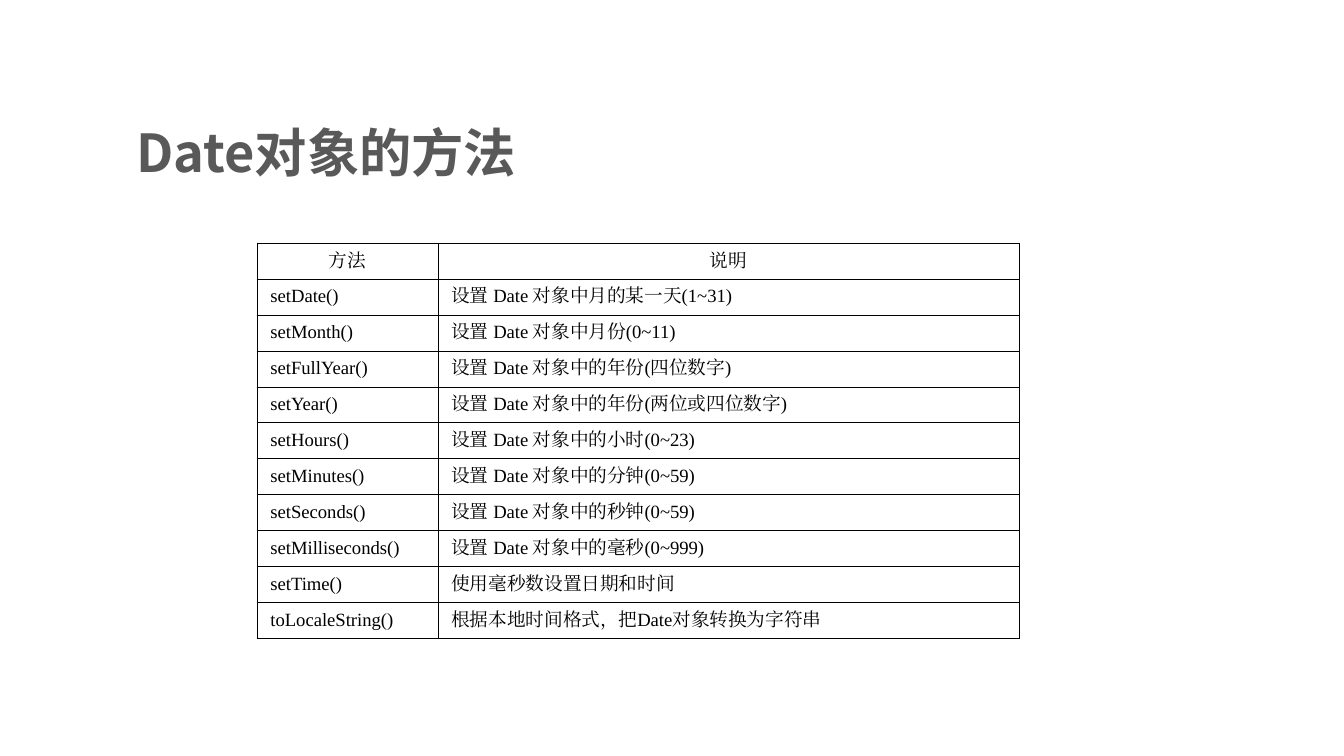
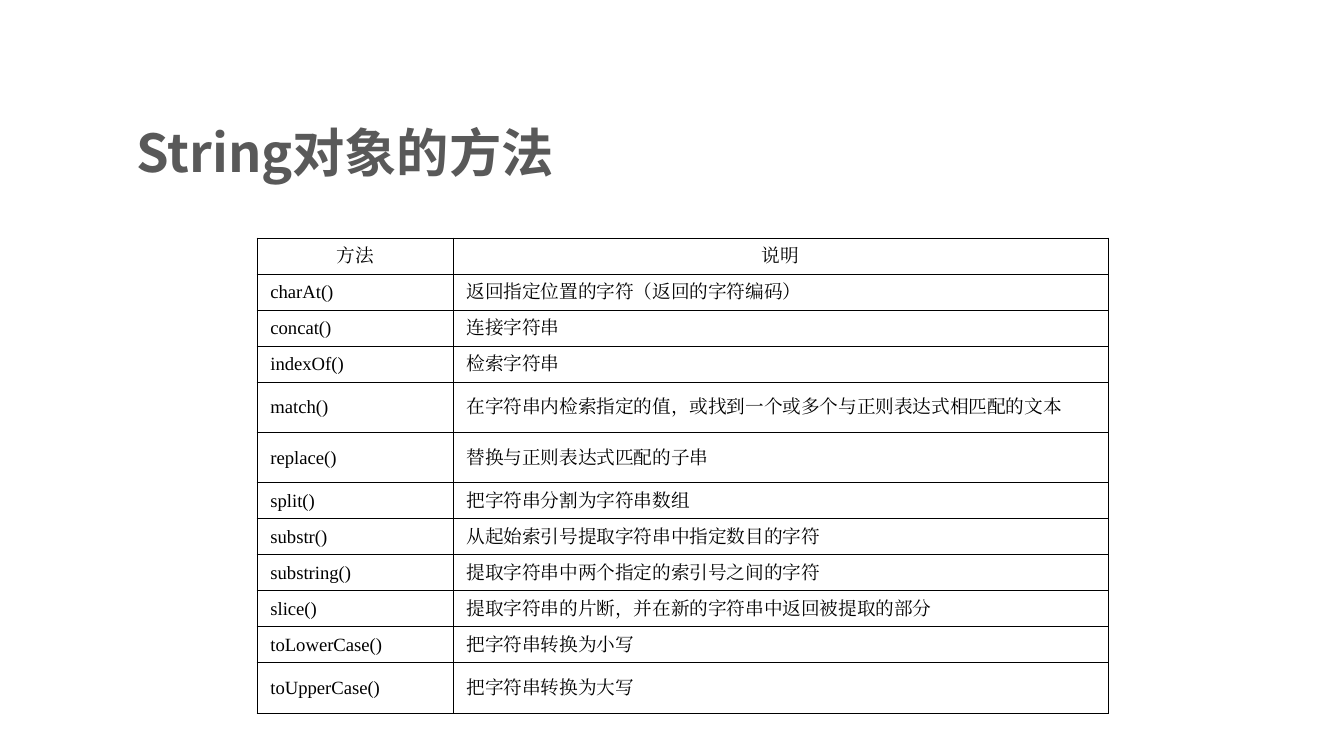
from lxml import etree
from pptx import Presentation
from pptx.dml.color import RGBColor
from pptx.enum.text import MSO_ANCHOR, MSO_AUTO_SIZE, PP_ALIGN
from pptx.oxml.ns import qn
from pptx.util import Emu, Pt

LEFT, CENTER = PP_ALIGN.LEFT, PP_ALIGN.CENTER
TOP, MIDDLE = MSO_ANCHOR.TOP, MSO_ANCHOR.MIDDLE
NO_FIT = MSO_AUTO_SIZE.NONE

# Content
HEADER = ("方法", "说明")
DATE_METHODS = [
    ("setDate()", "设置 Date 对象中月的某一天(1~31)"),
    ("setMonth()", "设置 Date 对象中月份(0~11)"),
    ("setFullYear()", "设置 Date 对象中的年份(四位数字)"),
    ("setYear()", "设置 Date 对象中的年份(两位或四位数字)"),
    ("setHours()", "设置 Date 对象中的小时(0~23)"),
    ("setMinutes()", "设置 Date 对象中的分钟(0~59)"),
    ("setSeconds()", "设置 Date 对象中的秒钟(0~59)"),
    ("setMilliseconds()", "设置 Date 对象中的毫秒(0~999)"),
    ("setTime()", "使用毫秒数设置日期和时间"),
    ("toLocaleString()", "根据本地时间格式，把Date对象转换为字符串"),
]
STRING_METHODS = [
    ("charAt()", "返回指定位置的字符（返回的字符编码）"),
    ("concat()", "连接字符串"),
    ("indexOf()", "检索字符串"),
    ("match()", "在字符串内检索指定的值，或找到一个或多个与正则表达式相匹配的文本"),
    ("replace()", "替换与正则表达式匹配的子串"),
    ("split()", "把字符串分割为字符串数组"),
    ("substr()", "从起始索引号提取字符串中指定数目的字符"),
    ("substring()", "提取字符串中两个指定的索引号之间的字符"),
    ("slice()", "提取字符串的片断，并在新的字符串中返回被提取的部分"),
    ("toLowerCase()", "把字符串转换为小写"),
    ("toUpperCase()", "把字符串转换为大写"),
]
SLIDES = [
    {"title": "Date对象的方法", "methods": DATE_METHODS, "top": 243,
     "cols": (181, 581), "tall_rows": {}, "anchor": TOP},
    {"title": "String对象的方法", "methods": STRING_METHODS, "top": 238,
     "cols": (196, 655), "tall_rows": {4: 51, 5: 50, 11: 51}, "anchor": MIDDLE},
]

# Shared look, lengths in px
PX = 914400 / 134.4
SLIDE_SIZE = (1344, 756)
TITLE_BOX = (123, 110, 964, 83)
TABLE_LEFT, ROW_HEIGHT = 257, 36
BORDER, THIN_BORDER = 0.45, 0.34
GREY, BLACK = RGBColor(0x59, 0x59, 0x59), RGBColor(0, 0, 0)
TITLE_FONT = {"size": Pt(28), "bold": True, "name": "Noto Sans CJK SC"}
CELL_FONT = {"size": Pt(10), "bold": False, "name": "Times New Roman"}


def px(n):
    return Emu(round(n * PX))


def write(tf, text, font, color, align):
    p = tf.paragraphs[0]
    p.alignment = align
    r = p.add_run()
    r.text = text
    r.font.color.rgb = color
    for key, value in font.items():
        setattr(r.font, key, value)
    etree.SubElement(r.font._element, qn("a:ea"), typeface=font["name"])


def add_borders(cell, widths):
    tc_pr = cell._tc.get_or_add_tcPr()
    for side, width in widths.items():
        ln = etree.SubElement(tc_pr, qn(f"a:ln{side}"), w=str(Pt(width)))
        fill = etree.SubElement(ln, qn("a:solidFill"))
        etree.SubElement(fill, qn("a:srgbClr"), val=str(BLACK))


def add_title(s, text):
    sp = s.shapes.title
    sp.left, sp.top, sp.width, sp.height = map(px, TITLE_BOX)
    tf = sp.text_frame
    tf.auto_size, tf.word_wrap, tf.vertical_anchor = NO_FIT, True, MIDDLE
    write(tf, text, TITLE_FONT, GREY, LEFT)


def add_method_table(s, data):
    rows = [HEADER] + data["methods"]
    heights = [data["tall_rows"].get(i, ROW_HEIGHT) for i in range(len(rows))]
    frame = s.shapes.add_table(len(rows), len(HEADER), px(TABLE_LEFT), px(data["top"]),
                               px(sum(data["cols"])), px(sum(heights)))
    table = frame.table
    table.first_row = table.horz_banding = False
    for column, width in zip(table.columns, data["cols"]):
        column.width = px(width)
    for i, (texts, height) in enumerate(zip(rows, heights)):
        table.rows[i].height = px(height)
        for j, text in enumerate(texts):
            cell = table.cell(i, j)
            is_header = i == 0
            cell.vertical_anchor = MIDDLE if is_header else data["anchor"]
            write(cell.text_frame, text, CELL_FONT, BLACK, CENTER if is_header else LEFT)
            # The outer sides are thinner
            widths = dict.fromkeys("LRTB", BORDER)
            if j == 1:
                widths["R"] = THIN_BORDER
            elif not is_header:
                widths["L"] = THIN_BORDER
            add_borders(cell, widths)
            cell.fill.background()


def main():
    prs = Presentation()
    prs.slide_width, prs.slide_height = map(px, SLIDE_SIZE)
    title_only = prs.slide_layouts[5]
    for data in SLIDES:
        s = prs.slides.add_slide(title_only)
        add_title(s, data["title"])
        add_method_table(s, data)
    prs.save("out.pptx")


if __name__ == "__main__":
    main()
